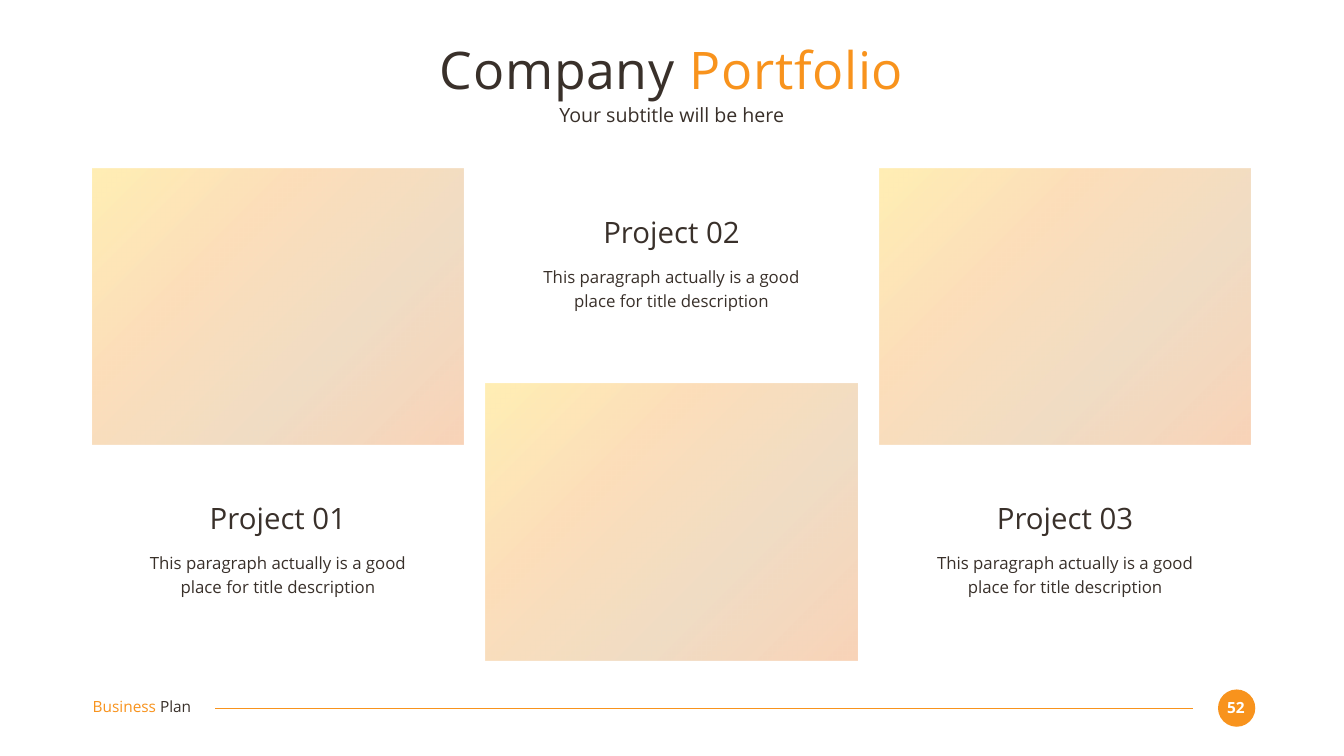
from dataclasses import dataclass
from lxml import etree
from pptx import Presentation
from pptx.dml.color import RGBColor
from pptx.enum.shapes import MSO_CONNECTOR, MSO_SHAPE
from pptx.enum.text import MSO_ANCHOR, MSO_AUTO_SIZE, PP_ALIGN
from pptx.oxml.ns import qn
from pptx.util import Inches, Pt

RECT, OVAL = MSO_SHAPE.RECTANGLE, MSO_SHAPE.OVAL
LEFT, CENTER = PP_ALIGN.LEFT, PP_ALIGN.CENTER
TOP, MIDDLE = MSO_ANCHOR.TOP, MSO_ANCHOR.MIDDLE
NONE, GROW = MSO_AUTO_SIZE.NONE, MSO_AUTO_SIZE.SHAPE_TO_FIT_TEXT


@dataclass(frozen=True)
class Theme:
    font: str = "Open Sans"
    dark: str = "39302A"
    accent: str = "F8931D"
    white: str = "FFFFFF"
    blend: tuple = ((0, "FFCA08"), (33, "F8931D"), (66, "CE8D3E"), (100, "EC7016"))
    alpha: int = 30
    title: int = 74
    sub: int = 28
    head: int = 42
    body: int = 24
    foot: int = 22


theme = Theme()


def place(shape, x, y, w, h):
    shape.left, shape.top = Inches(x), Inches(y)
    shape.width, shape.height = Inches(w), Inches(h)


def write(shape, parts, size, align=CENTER, anchor=TOP, fit=GROW):
    """Fill a text frame with (text, colour) parts in one paragraph."""
    frame = shape.text_frame
    frame.margin_left = frame.margin_right = frame.margin_top = frame.margin_bottom = 0
    frame.word_wrap, frame.auto_size, frame.vertical_anchor = True, fit, anchor
    para = frame.paragraphs[0]
    para.alignment = align
    for text, color in parts:
        run = para.add_run()
        run.text = text
        run.font.name, run.font.size = theme.font, Pt(size)
        run.font.color.rgb = RGBColor.from_string(color)
    return para


deck = Presentation()
deck.slide_width, deck.slide_height = Inches(26.67), Inches(15)
slide = deck.slides.add_slide(deck.slide_layouts[1])
shapes = slide.shapes

# Title and subtitle
title, sub = slide.placeholders
place(title, 1.83, 0.73, 23, 1.27)
para = write(title, [("Company ", theme.dark), ("Portfolio", theme.accent)],
             theme.title, anchor=MIDDLE, fit=NONE)
for run in para.runs:
    run.font._element.set("spc", "100")
place(sub, 1.83, 2.03, 23, 0.49)
para = write(sub, [("Your subtitle will be here", theme.dark)],
             theme.sub, anchor=MIDDLE, fit=NONE)
para.space_before = Pt(0)
props = para._p.get_or_add_pPr()
props.set("marL", "0")
props.set("indent", "0")
etree.SubElement(props, qn("a:buNone"))

# Footer: page badge, rule and name
badge = shapes.add_shape(OVAL, Inches(24.17), Inches(13.68), Inches(0.74), Inches(0.74))
badge.shadow.inherit = False
badge.fill.solid()
badge.fill.fore_color.rgb = RGBColor.from_string(theme.accent)
badge.line.fill.background()
page = shapes.add_textbox(Inches(24.23), Inches(13.85), Inches(0.59), Inches(0.37))
write(page, [("52", theme.white)], theme.foot).runs[0].font.bold = True

rule = shapes.add_connector(MSO_CONNECTOR.STRAIGHT, Inches(23.67), Inches(14.05),
                            Inches(4.27), Inches(14.05))
rule.line.color.rgb = RGBColor.from_string(theme.accent)
rule.line.width = Pt(1.5)
etree.SubElement(rule._element.spPr, qn("a:effectLst"))

name = shapes.add_textbox(Inches(1.84), Inches(13.84), Inches(2.59), Inches(0.37))
write(name, [("Business ", theme.accent), ("Plan", theme.dark)], theme.foot, LEFT)

# Projects: panel top and caption top alternate along the row
for i, (top, cap) in enumerate([(3.34, 9.92), (7.62, 4.24), (3.34, 9.92)]):
    x = 1.83 + 7.81 * i
    panel = shapes.add_shape(RECT, Inches(x), Inches(top), Inches(7.37), Inches(5.48))
    panel.shadow.inherit = False
    panel.line.fill.background()
    panel.fill.gradient()
    panel.fill.gradient_angle = 315
    stops = panel._element.spPr.find(".//" + qn("a:gsLst"))
    for old in list(stops):
        stops.remove(old)
    for pos, color in theme.blend:
        stop = etree.SubElement(stops, qn("a:gs"), pos=str(pos * 1000))
        tint = etree.SubElement(stop, qn("a:srgbClr"), val=color)
        etree.SubElement(tint, qn("a:alpha"), val=str(theme.alpha * 1000))

    group = shapes.add_group_shape()
    head = group.shapes.add_textbox(Inches(x + 0.71), Inches(cap), Inches(5.95), Inches(0.71))
    write(head, [(f"Project {i + 1:02}", theme.dark)], theme.head)
    note = group.shapes.add_textbox(Inches(x + 0.71), Inches(cap + 0.97),
                                    Inches(5.95), Inches(0.94))
    text = "This paragraph actually is a good place for title description"
    write(note, [(text, theme.dark)], theme.body).line_spacing = 1.2

deck.save("out.pptx")
